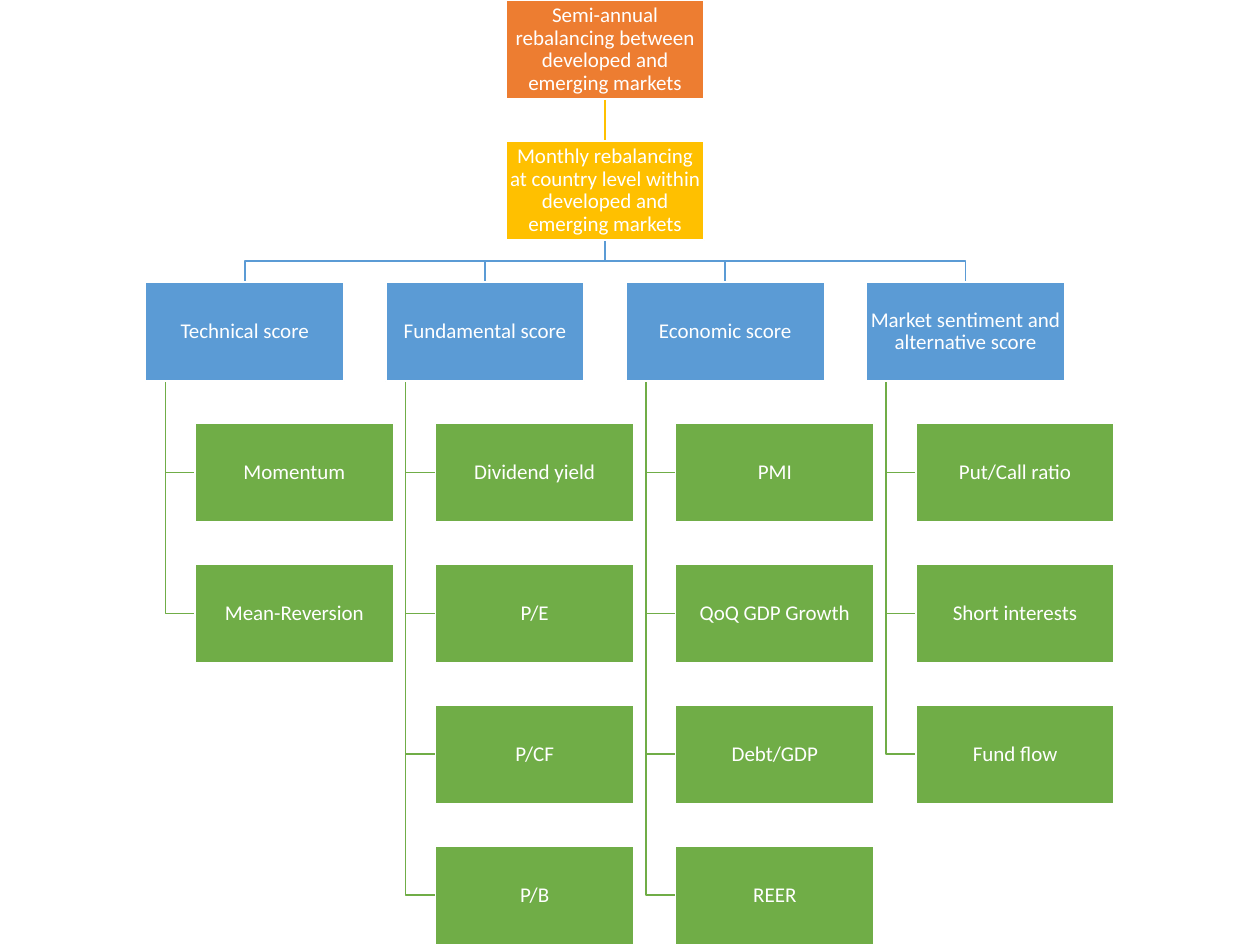
from lxml import etree
from pptx import Presentation
from pptx import util as u
from pptx.dml.color import RGBColor
from pptx.enum import shapes, text
from pptx.oxml.ns import qn

COLORS = {"top": "ED7D31", "monthly": "FFC000", "score": "5B9BD5",
          "factor": "70AD47", "white": "FFFFFF"}
SCORES = {
    "Technical score": ["Momentum", "Mean-Reversion"],
    "Fundamental score": ["Dividend yield", "P/E", "P/CF", "P/B"],
    "Economic score": ["PMI", "QoQ GDP Growth", "Debt/GDP", "REER"],
    "Market sentiment and alternative score":
        ["Put/Call ratio", "Short interests", "Fund flow"],
}

prs = Presentation()
prs.slide_width, prs.slide_height = u.Inches(10), u.Inches(7.5)
slide = prs.slides.add_slide(prs.slide_layouts[6])

# Grid: seven rows fill the height, boxes are twice as wide as high
H = prs.slide_height / (7 + 6 * 0.42)
W = 2 * H
GAP = 0.42 * H
ROW, COL = H + GAP, W + GAP
INDENT, TRUNK = 0.25 * W, 0.1 * W
LEFT = (prs.slide_width - 3 * COL - W - INDENT) / 2
TOP_X = LEFT + 1.5 * COL
MID = TOP_X + W / 2


def add_branch(points, color):
    fb = slide.shapes.build_freeform(*points[0])
    fb.add_line_segments(points[1:], close=False)
    sp = fb.convert_to_shape()
    sp.shadow.inherit = False
    sp.fill.background()
    sp.line.color.rgb = RGBColor.from_string(COLORS[color])
    sp.line.width = u.Pt(1)


def add_box(x, row, label, color):
    sp = slide.shapes.add_shape(shapes.MSO_SHAPE.RECTANGLE,
                                *map(round, (x, row * ROW, W, H)))
    sp.shadow.inherit = False
    sp.fill.solid()
    sp.fill.fore_color.rgb = RGBColor.from_string(COLORS[color])
    sp.line.color.rgb = RGBColor.from_string(COLORS["white"])
    sp.line.width = u.Pt(1)
    tf = sp.text_frame
    tf.word_wrap = True
    tf.vertical_anchor = text.MSO_ANCHOR.MIDDLE
    tf.margin_left = tf.margin_right = u.Inches(0.01)
    tf.margin_top = tf.margin_bottom = u.Inches(0.01)
    p = tf.paragraphs[0]
    p.text = label
    p.alignment = text.PP_ALIGN.CENTER
    p.line_spacing = 0.9
    p.font.name, p.font.size = "Calibri", u.Pt(12)
    p.font.color.rgb = RGBColor.from_string(COLORS["white"])


# Branches, behind the boxes
for col, factors in enumerate(SCORES.values()):
    x = LEFT + col * COL
    for row in range(3, 3 + len(factors)):
        y = row * ROW + H / 2
        add_branch([(x + TRUNK, 2 * ROW + H), (x + TRUNK, y), (x + INDENT, y)],
                   "factor")
    bend = 2 * ROW - GAP / 2
    add_branch([(MID, ROW + H), (MID, bend), (x + W / 2, bend),
                (x + W / 2, 2 * ROW)], "score")

# Line between the two rebalancing steps
line = slide.shapes.add_connector(shapes.MSO_CONNECTOR.STRAIGHT,
                                  *map(round, (MID, H, MID, ROW)))
line.line.color.rgb = RGBColor.from_string(COLORS["monthly"])
line.line.width = u.Pt(1)
etree.SubElement(line._element.spPr, qn("a:effectLst"))

# Rebalancing steps
add_box(TOP_X, 0, "Semi-annual rebalancing between developed and emerging markets",
        "top")
add_box(TOP_X, 1, "Monthly rebalancing at country level within developed and "
        "emerging markets", "monthly")

# Scores and their factors
for col, (score, factors) in enumerate(SCORES.items()):
    x = LEFT + col * COL
    add_box(x, 2, score, "score")
    for row, factor in enumerate(factors, 3):
        add_box(x + INDENT, row, factor, "factor")

prs.save("out.pptx")
